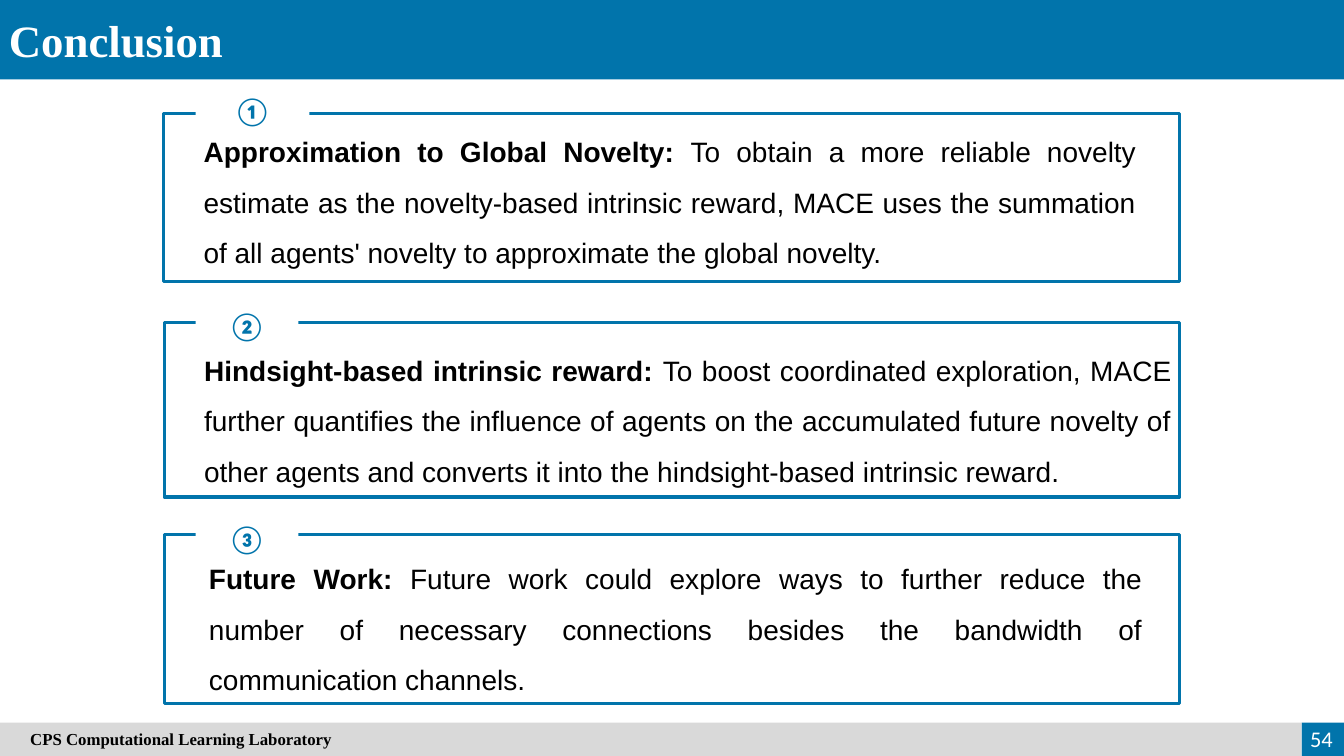
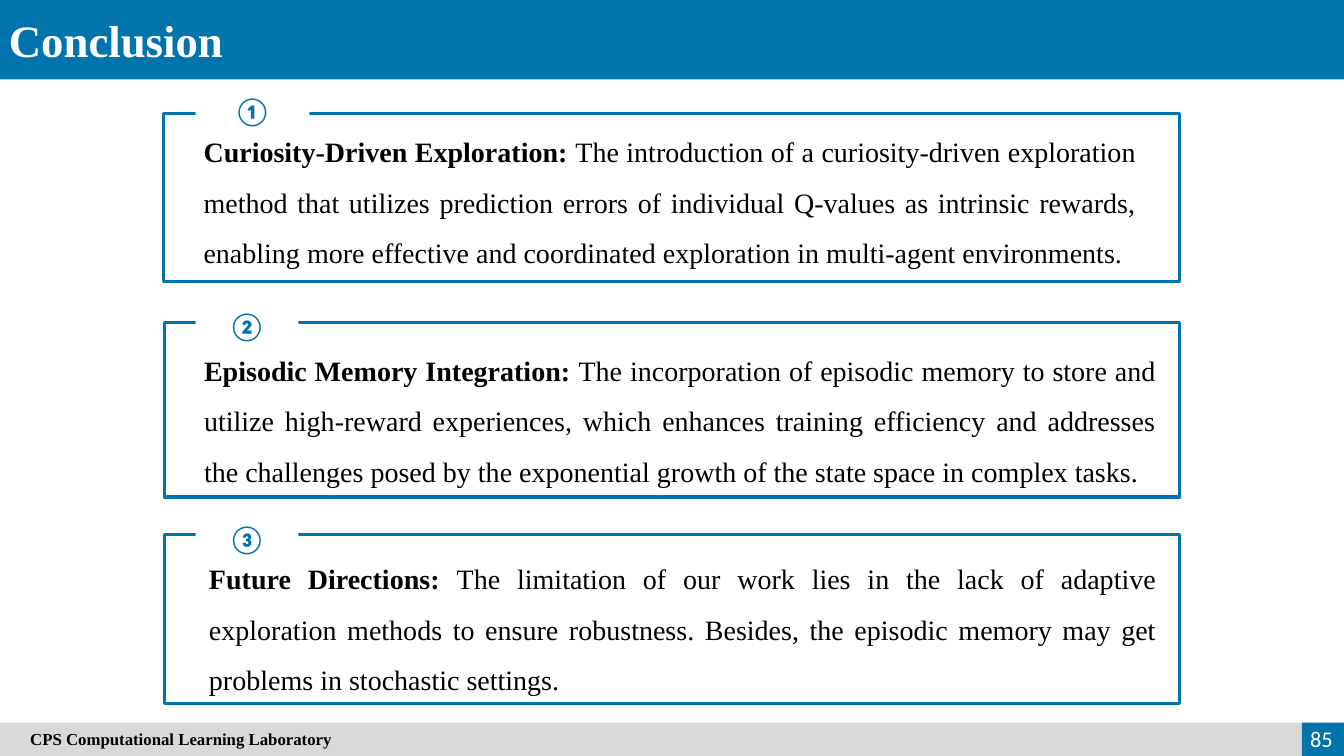
from dataclasses import dataclass

from pptx import Presentation
from pptx.dml.color import RGBColor
from pptx.enum import shapes, text
from pptx.util import Pt


@dataclass(frozen=True)
class Theme:
    blue: str = "0174AB"
    gray: str = "D9D9D9"
    white: str = "FFFFFF"
    black: str = "000000"
    serif: str = "Times New Roman"
    sans: str = "Arial"
    number: str = "Calibri"
    title: int = 32
    body: int = 20
    page: int = 16
    footer: int = 12
    border: float = 2.25


T = Theme()
WIDTH, HEIGHT = 960, 540
HEADER_H = 56.7
FOOTER_TOP, PAGE_LEFT = 516.2, 929.7
BADGE_LEFT, BADGE_H = 139.7, 39.6
TEXT_H = 116

TITLE = "Conclusion"
FOOTER = "CPS Computational Learning Laboratory"

PANELS = [
    dict(mark="①", frame=(116.8, 81.1, 725.8, 120.2), badge_top=59.2, badge_w=81.4, text=(138.3, 80.7)),
    dict(mark="②", frame=(117.2, 230.4, 725.4, 124.6), badge_top=212.6, badge_w=73.4, text=(138.7, 236.9)),
    dict(mark="③", frame=(117.2, 381.8, 725.4, 120.6), badge_top=364.5, badge_w=73.4, text=(142.2, 385.9)),
]

SLIDES = [
    dict(page="54", font=T.sans, points=[
        ("Approximation to Global Novelty:",
         "To obtain a more reliable novelty estimate as the novelty-based intrinsic reward, MACE uses "
         "the summation of all agents' novelty to approximate the global novelty.", 680.4),
        ("Hindsight-based intrinsic reward:",
         "To boost coordinated exploration, MACE further quantifies the influence of agents on the "
         "accumulated future novelty of other agents and converts it into the hindsight-based "
         "intrinsic reward.", 705.4),
        ("Future Work:",
         "Future work could explore ways to further reduce the number of necessary connections besides "
         "the bandwidth of communication channels.", 681),
    ]),
    dict(page="85", font=T.serif, points=[
        ("Curiosity-Driven Exploration:",
         "The introduction of a curiosity-driven exploration method that utilizes prediction errors of "
         "individual Q-values as intrinsic rewards, enabling more effective and coordinated exploration "
         "in multi-agent environments.", 680.4),
        ("Episodic Memory Integration:",
         "The incorporation of episodic memory to store and utilize high-reward experiences, which "
         "enhances training efficiency and addresses the challenges posed by the exponential growth of "
         "the state space in complex tasks.", 694.2),
        ("Future Directions:",
         "The limitation of our work lies in the lack of adaptive exploration methods to ensure "
         "robustness. Besides, the episodic memory may get problems in stochastic settings.", 691),
    ]),
]


def add_rect(s, box, fill=None, line=None):
    sp = s.shapes.add_shape(shapes.MSO_SHAPE.RECTANGLE, *map(Pt, box))
    sp.shadow.inherit = False
    if fill:
        sp.fill.solid()
        sp.fill.fore_color.rgb = RGBColor.from_string(fill)
    else:
        sp.fill.background()
    if line:
        sp.line.color.rgb = RGBColor.from_string(line)
        sp.line.width = Pt(T.border)
    else:
        sp.line.fill.background()
    return sp


def write(sp, runs, font, size, color, align="LEFT", middle=False):
    tf = sp.text_frame
    tf.word_wrap = True
    tf.vertical_anchor = text.MSO_ANCHOR.MIDDLE if middle else text.MSO_ANCHOR.TOP
    p = tf.paragraphs[0]
    p.alignment = getattr(text.PP_ALIGN, align)
    for words, bold in runs:
        r = p.add_run()
        r.text = words
        r.font.name, r.font.size, r.font.bold = font, Pt(size), bold
        r.font.color.rgb = RGBColor.from_string(color)
    return tf


def add_text(s, box, *args, **kwargs):
    return write(s.shapes.add_textbox(*map(Pt, box)), *args, **kwargs)


def add_base(s, page):
    add_rect(s, (0, 0, WIDTH, HEADER_H), T.blue)
    add_text(s, (-0.7, 5.8, 386.6, 46), [(TITLE, True)], T.serif, T.title, T.white, "JUSTIFY")
    add_rect(s, (PAGE_LEFT, FOOTER_TOP, WIDTH - PAGE_LEFT, HEIGHT - FOOTER_TOP), T.blue)
    footer = add_rect(s, (0, FOOTER_TOP, PAGE_LEFT, HEIGHT - FOOTER_TOP), T.gray)
    tf = write(footer, [(FOOTER, True)], T.serif, T.footer, T.black, middle=True)
    tf.margin_left = Pt(21.6)
    add_text(s, (913.7, 513.4, 45.4, 28.8), [(page, False)], T.number, T.page, T.white, "RIGHT", True)


def add_panel(s, panel, point, font):
    heading, body, width = point
    add_rect(s, panel["frame"], line=T.blue)
    badge = add_rect(s, (BADGE_LEFT, panel["badge_top"], panel["badge_w"], BADGE_H), T.white)
    write(badge, [(panel["mark"], True)], T.number, T.body, T.blue, "CENTER", True)
    tf = add_text(s, (*panel["text"], width, TEXT_H), [(heading + " ", True), (body, False)],
                  font, T.body, T.black, "JUSTIFY")
    tf.paragraphs[0].line_spacing = 1.5


def main():
    prs = Presentation()
    prs.slide_width, prs.slide_height = Pt(WIDTH), Pt(HEIGHT)
    for content in SLIDES:
        s = prs.slides.add_slide(prs.slide_layouts[6])
        add_base(s, content["page"])
        for panel, point in zip(PANELS, content["points"]):
            add_panel(s, panel, point, content["font"])
    prs.save("out.pptx")


if __name__ == "__main__":
    main()
